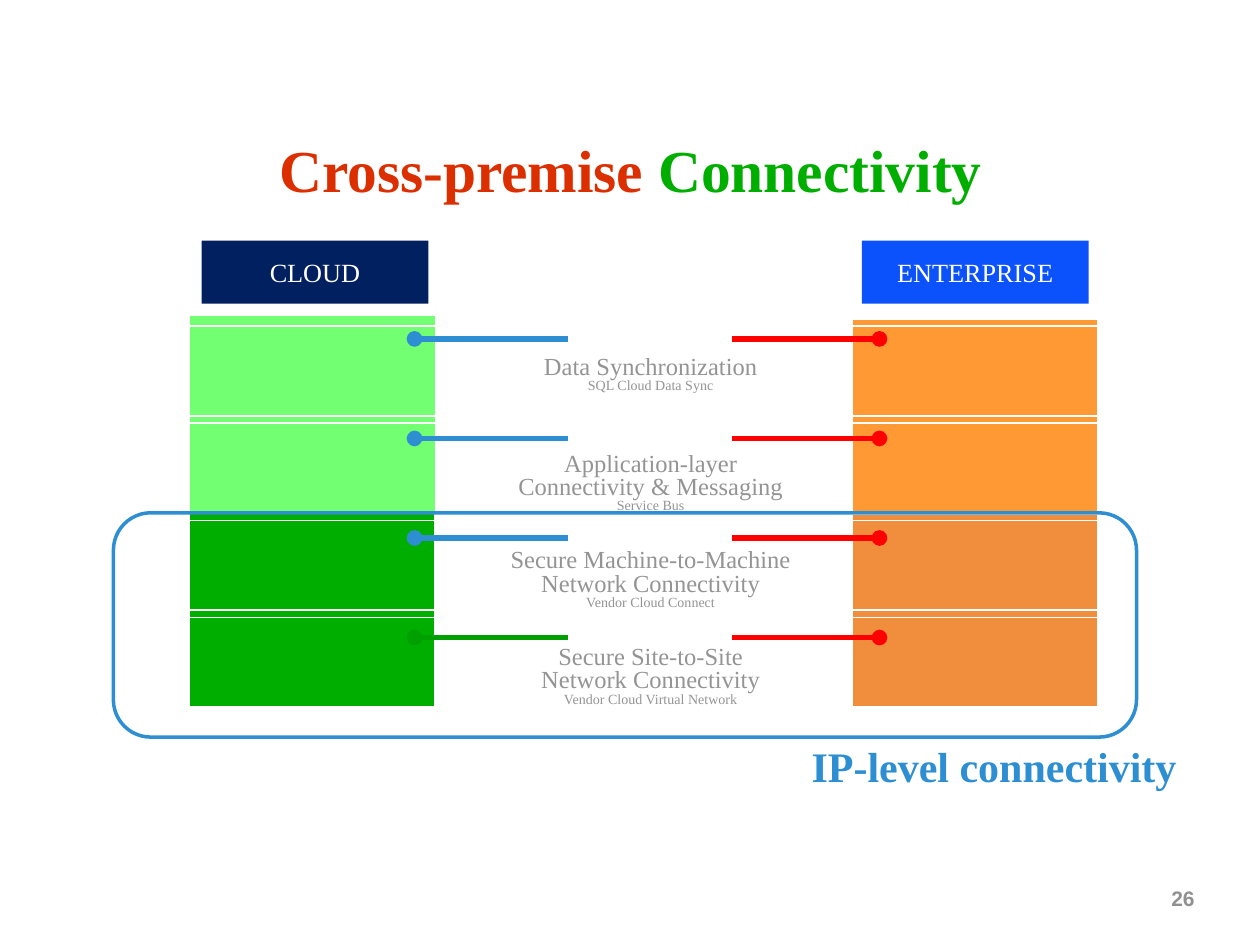
from lxml import etree
from pptx import Presentation
from pptx import util as u
from pptx.dml.color import RGBColor
from pptx.enum import shapes, text
from pptx.oxml.ns import qn

COLORS = {
    "title_red": "DC2F00", "green": "00AE00", "light_green": "72FF72",
    "dark_green": "00A000", "orange": "FF9933", "dark_orange": "F18E3D",
    "blue": "2D8FD1", "red": "FF0000", "navy": "002060",
    "bright_blue": "0B52FC", "gray": "949494", "number_gray": "919191",
    "white": "FFFFFF",
}
SERIF = "Times New Roman"

presentation = Presentation()
presentation.slide_width = u.Inches(10)
presentation.slide_height = u.Inches(7.5)
CELL = presentation.slide_width / 100  # grid of 100 columns by 75 rows
slide = presentation.slides.add_slide(presentation.slide_layouts[5])


def add_box(kind, place, fill=None, line=None, width=1):
    """Add a preset shape; place is left, top, width, height in grid cells."""
    shape = slide.shapes.add_shape(kind, *[round(n * CELL) for n in place])
    shape.shadow.inherit = False
    if fill:
        shape.fill.solid()
        shape.fill.fore_color.rgb = RGBColor.from_string(COLORS[fill])
    else:
        shape.fill.background()
    if line:
        shape.line.color.rgb = RGBColor.from_string(COLORS[line])
        shape.line.width = u.Pt(width)
    else:
        shape.line.fill.background()
    return shape


def add_run(paragraph, words, size, color, bold=False, font=SERIF):
    run = paragraph.add_run()
    run.text = words
    run.font.size = u.Pt(size)
    run.font.name = font
    run.font.bold = bold
    run.font.color.rgb = RGBColor.from_string(COLORS[color])


# Title
title = slide.shapes.title
title.left, title.top, title.width, title.height = [
    round(n * CELL) for n in (4.3, 11.2, 91.5, 5.1)]
title.text_frame.vertical_anchor = text.MSO_ANCHOR.MIDDLE
title.text_frame.auto_size = text.MSO_AUTO_SIZE.NONE
heading = title.text_frame.paragraphs[0]
heading.alignment = text.PP_ALIGN.CENTER
heading.line_spacing = 0.9
add_run(heading, "Cross-premise ", 34, "title_red", True)
add_run(heading, "Connectivity", 34, "green", True)

# Slide number and caption
labels = [
    ((91.3, 69.8, 4.5, 3), "26", 12, "number_gray", "Arial", 1, text.PP_ALIGN.RIGHT),
    ((64.3, 58.8, 29.2, 4), "IP-level connectivity", 24, "blue", SERIF, 0,
     text.PP_ALIGN.CENTER),
]
for place, words, size, color, font, inset, alignment in labels:
    label = slide.shapes.add_textbox(*[round(n * CELL) for n in place])
    frame = label.text_frame
    frame.word_wrap = False
    frame.margin_left = frame.margin_right = round(inset * CELL)
    frame.margin_top = frame.margin_bottom = round(inset * CELL / 2)
    frame.paragraphs[0].alignment = alignment
    add_run(frame.paragraphs[0], words, size, color, True, font)

# Stacks: upper and lower half of the enterprise and cloud columns
stacks = [
    ((67.6, 25.3, 19.5, 15.3), "orange"),
    ((15, 25, 19.6, 15.9), "light_green"),
    ((67.6, 40.8, 19.5, 15.3), "dark_orange"),
    ((15, 40.7, 19.5, 15.4), "green"),
]
for place, fill in stacks:
    add_box(shapes.MSO_SHAPE.RECTANGLE, place, fill, "white")

# Connectivity levels
levels = [
    (["Data Synchronization"], "SQL Cloud Data Sync", "blue"),
    (["Application-layer", "Connectivity & Messaging"], "Service Bus", "blue"),
    (["Secure Machine-to-Machine", "Network Connectivity"],
     "Vendor Cloud Connect", "blue"),
    (["Secure Site-to-Site", "Network Connectivity"],
     "Vendor Cloud Virtual Network", "dark_green"),
]
for row, (names, service, cloud_color) in enumerate(levels):
    add_box(shapes.MSO_SHAPE.RECTANGLE, (9.6, 25.9 + 7.7 * row, 83.3, 7.1),
            line="white")

    height = 2.4 + 1.9 * len(names)
    caption = slide.shapes.add_textbox(
        *[round(n * CELL) for n in (37.8, 27.6 + 7.67 * row, 27.7, height)])
    frame = caption.text_frame
    frame.word_wrap = True
    frame.margin_left = frame.margin_right = round(1.3 * CELL)
    frame.margin_top = frame.margin_bottom = round(0.7 * CELL)
    lines = [(name, 14) for name in names] + [(service, 8)]
    for index, (words, size) in enumerate(lines):
        paragraph = frame.add_paragraph() if index else frame.paragraphs[0]
        paragraph.alignment = text.PP_ALIGN.CENTER
        paragraph.line_spacing = 0.8
        add_run(paragraph, words, size, "gray")

    y = round((26.9 + 7.9 * row) * CELL)
    for start, end, color in ((58.1, 69.8, "red"), (45.1, 32.9, cloud_color)):
        link = slide.shapes.add_connector(
            shapes.MSO_CONNECTOR.STRAIGHT,
            round(start * CELL), y, round(end * CELL), y)
        link.line.color.rgb = RGBColor.from_string(COLORS[color])
        link.line.width = u.Pt(3)
        etree.SubElement(link.line._get_or_add_ln(), qn("a:tailEnd"), type="oval")
        etree.SubElement(link._element.spPr, qn("a:effectLst"))

# Column headers
for left, words, fill in ((16, "CLOUD", "navy"), (68.4, "ENTERPRISE", "bright_blue")):
    header = add_box(shapes.MSO_SHAPE.RECTANGLE, (left, 19.1, 18, 5), fill)
    header.text_frame.vertical_anchor = text.MSO_ANCHOR.MIDDLE
    paragraph = header.text_frame.paragraphs[0]
    paragraph.alignment = text.PP_ALIGN.CENTER
    add_run(paragraph, words, 15, "white")

# Frame around the IP-level rows
add_box(shapes.MSO_SHAPE.ROUNDED_RECTANGLE, (9, 40.7, 81.2, 17.8),
        line="blue", width=2)

presentation.save("out.pptx")
